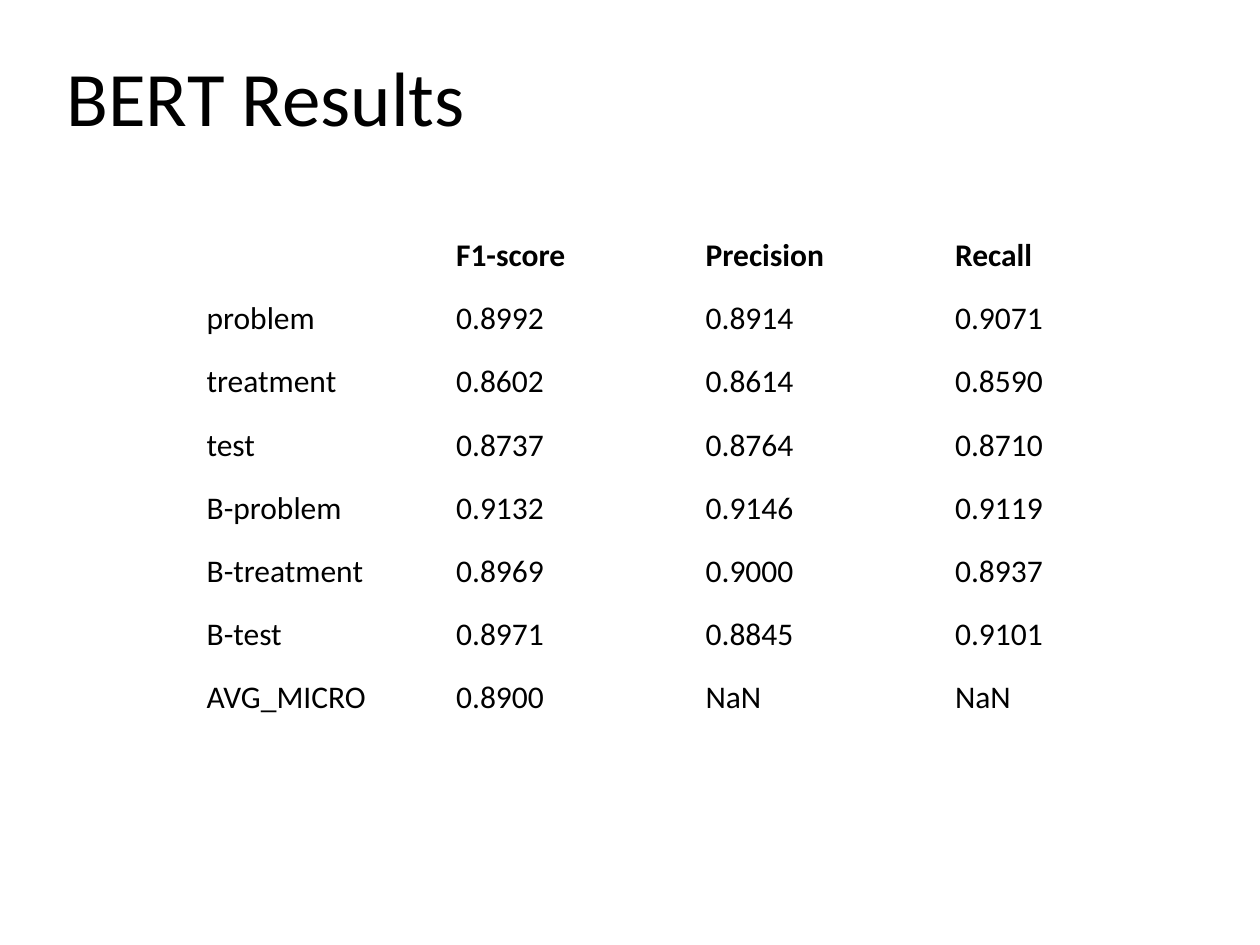
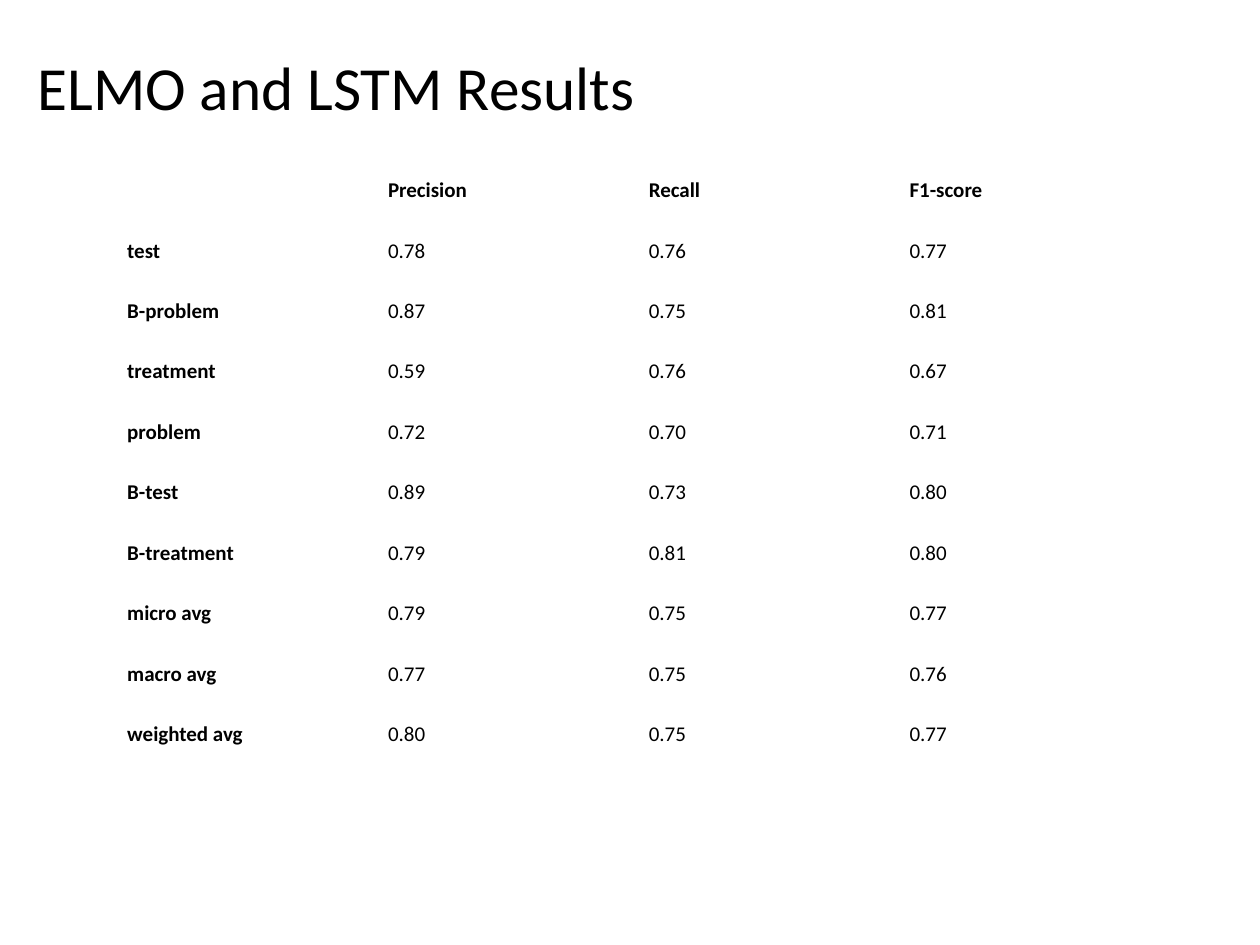
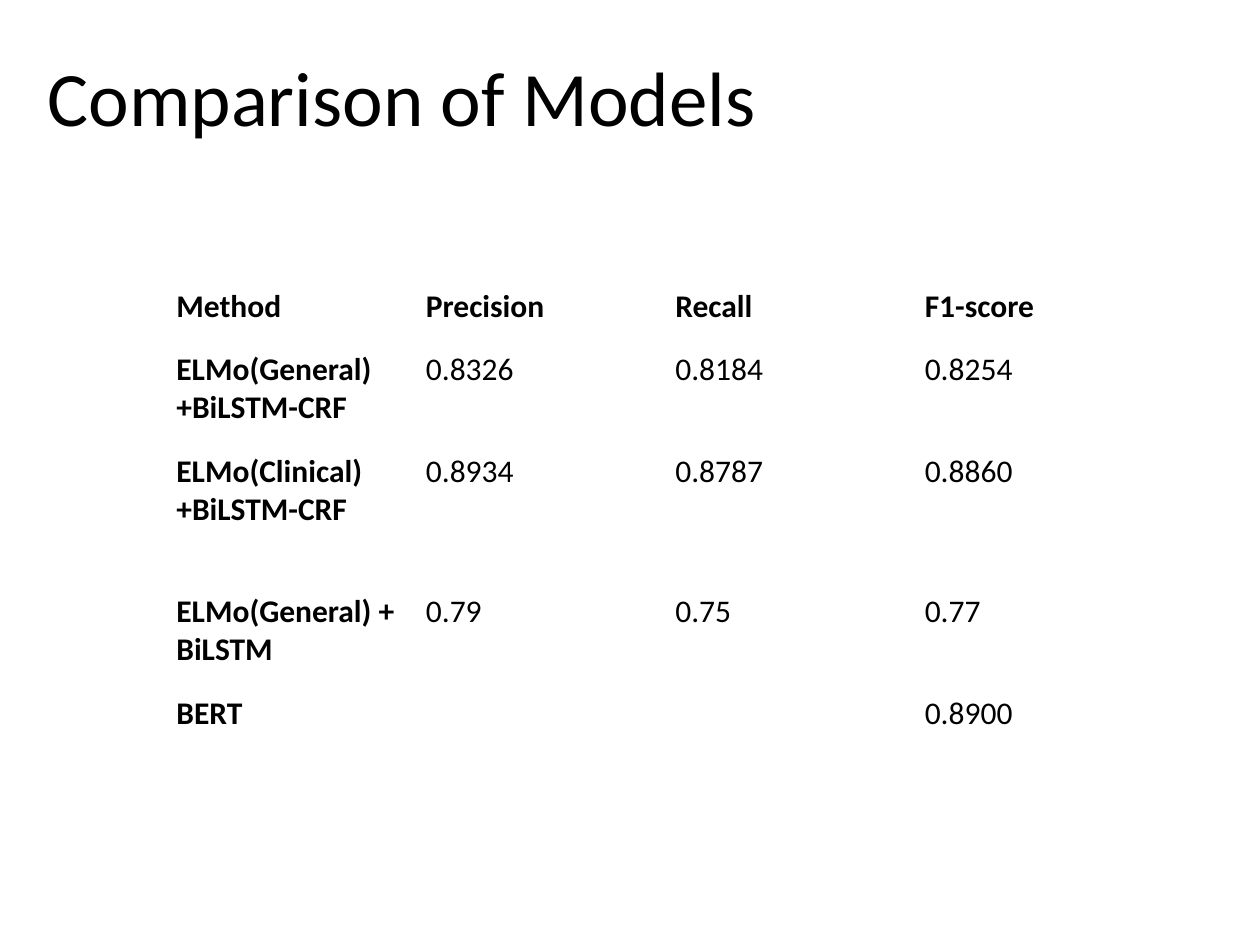
from dataclasses import dataclass

import lxml.etree
import pptx
import pptx.dml.color
import pptx.enum.text
import pptx.oxml.ns
import pptx.slide
import pptx.table
import pptx.text.text
import pptx.util
from pptx.util import Inches

BLACK = pptx.dml.color.RGBColor(0x00, 0x00, 0x00)
WHITE = pptx.dml.color.RGBColor(0xFF, 0xFF, 0xFF)
FONT = "Calibri"
INSET = Inches(0.1)
TITLE_TOP = Inches(0.29)
TITLE_HEIGHT = Inches(1.69)
BORDER_WIDTH = pptx.util.Pt(0.75)


@dataclass(frozen=True)
class Title:
    text: str
    left: float
    width: float
    size: int


@dataclass(frozen=True)
class ResultTable:
    left: float
    top: float
    column_width: float
    row_heights: list[float]
    size: int
    bold_labels: bool
    rows: list[list[str]]


@dataclass(frozen=True)
class ResultPage:
    title: Title
    table: ResultTable


PAGES = [
    ResultPage(
        Title("BERT Results", 0.43, 6.92, 44),
        ResultTable(1.54, 1.78, 1.98, [0.5] * 8, 18, False, [
            ["", "F1-score", "Precision", "Recall"],
            ["problem", "0.8992", "0.8914", "0.9071"],
            ["treatment", "0.8602", "0.8614", "0.8590"],
            ["test", "0.8737", "0.8764", "0.8710"],
            ["B-problem", "0.9132", "0.9146", "0.9119"],
            ["B-treatment", "0.8969", "0.9000", "0.8937"],
            ["B-test", "0.8971", "0.8845", "0.9101"],
            ["AVG_MICRO", "0.8900", "NaN", "NaN"],
        ]),
    ),
    ResultPage(
        Title("ELMO and LSTM Results", 0.2, 9.4, 35),
        ResultTable(0.91, 1.31, 2.07, [0.48] * 10, 12, True, [
            ["", "Precision", "Recall", "F1-score"],
            ["test", "0.78", "0.76", "0.77"],
            ["B-problem", "0.87", "0.75", "0.81"],
            ["treatment", "0.59", "0.76", "0.67"],
            ["problem", "0.72", "0.70", "0.71"],
            ["B-test", "0.89", "0.73", "0.80"],
            ["B-treatment", "0.79", "0.81", "0.80"],
            ["micro avg", "0.79", "0.75", "0.77"],
            ["macro avg", "0.77", "0.75", "0.76"],
            ["weighted avg", "0.80", "0.75", "0.77"],
        ]),
    ),
    ResultPage(
        Title("Comparison of Models", 0.28, 8.14, 44),
        ResultTable(1.3, 2.18, 1.98, [0.5, 0.81, 1.11, 0.81, 0.5], 18, True, [
            ["Method", "Precision", "Recall", "F1-score"],
            ["ELMo(General) +BiLSTM-CRF", "0.8326", "0.8184", "0.8254"],
            ["ELMo(Clinical) +BiLSTM-CRF", "0.8934", "0.8787", "0.8860"],
            ["ELMo(General) + BiLSTM", "0.79", "0.75", "0.77"],
            ["BERT", "", "", "0.8900"],
        ]),
    ),
]


def write_text(frame: pptx.text.text.TextFrame, text: str, size: int, bold: bool = False) -> None:
    frame.text = text
    para = frame.paragraphs[0]
    for span in para.runs:
        span.font.name = FONT
        span.font.size = pptx.util.Pt(size)
        span.font.bold = bold
        span.font.color.rgb = BLACK
    if not text:
        end = lxml.etree.SubElement(para._p, pptx.oxml.ns.qn("a:endParaRPr"))
        end.set("sz", str(size * 100))


def add_title(page: pptx.slide.Slide, title: Title) -> None:
    box = page.shapes.add_textbox(
        Inches(title.left), TITLE_TOP, Inches(title.width), TITLE_HEIGHT)
    frame = box.text_frame
    frame.word_wrap = True
    frame.vertical_anchor = pptx.enum.text.MSO_ANCHOR.TOP
    frame.margin_left = frame.margin_right = INSET
    frame.margin_top = frame.margin_bottom = INSET
    write_text(frame, title.text, title.size)


def style_cell(cell: pptx.table._Cell) -> None:
    cell.margin_left = cell.margin_right = INSET
    cell.margin_top = cell.margin_bottom = INSET
    properties = cell._tc.get_or_add_tcPr()
    for side in ("lnL", "lnR", "lnT", "lnB"):
        line = lxml.etree.SubElement(properties, pptx.oxml.ns.qn(f"a:{side}"))
        line.set("w", str(int(BORDER_WIDTH)))
        fill = lxml.etree.SubElement(line, pptx.oxml.ns.qn("a:solidFill"))
        lxml.etree.SubElement(fill, pptx.oxml.ns.qn("a:srgbClr")).set("val", str(WHITE))
    cell.fill.background()


def add_results(page: pptx.slide.Slide, results: ResultTable) -> None:
    column_count = len(results.rows[0])
    grid = page.shapes.add_table(
        len(results.rows), column_count,
        Inches(results.left), Inches(results.top),
        Inches(results.column_width * column_count),
        Inches(sum(results.row_heights))).table
    grid.first_row = False
    grid.horz_banding = False
    for column in grid.columns:
        column.width = Inches(results.column_width)
    for row, height in zip(grid.rows, results.row_heights):
        row.height = Inches(height)
    for row_index, values in enumerate(results.rows):
        for column_index, value in enumerate(values):
            cell = grid.cell(row_index, column_index)
            style_cell(cell)
            bold = row_index == 0 or (column_index == 0 and results.bold_labels)
            write_text(cell.text_frame, value, results.size, bold)


def main() -> None:
    deck = pptx.Presentation()
    deck.slide_width = Inches(10)
    deck.slide_height = Inches(7.5)
    for content in PAGES:
        page = deck.slides.add_slide(deck.slide_layouts[6])
        add_title(page, content.title)
        add_results(page, content.table)
    deck.save("out.pptx")


if __name__ == "__main__":
    main()
